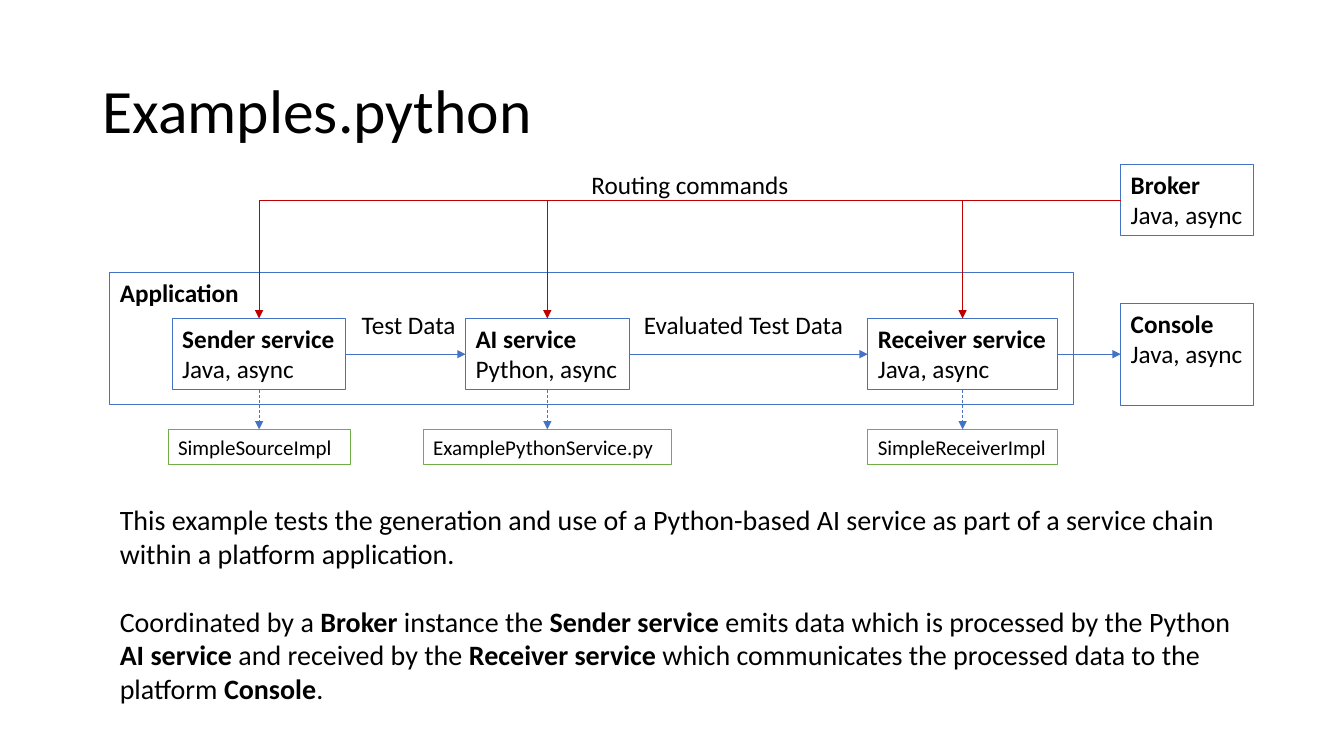
"""Draw the service chain of the Python example on one slide."""
from lxml.etree import SubElement
from pptx import Presentation
from pptx.dml.color import RGBColor as Rgb
from pptx.enum.dml import MSO_LINE as Dash
from pptx.enum.shapes import MSO_CONNECTOR as Link, MSO_SHAPE as Form
from pptx.enum.text import MSO_ANCHOR as Anchor, PP_ALIGN as Align
from pptx.oxml.ns import qn
from pptx.util import Pt

HUES = {"ink": "000000", "blue": "4472C4", "red": "C00000", "green": "70AD47"}


class Sketch:
    def __init__(self, slide, font="Calibri"):
        self.shapes = slide.shapes
        self.font = font

    def hue(self, name):
        return Rgb.from_string(HUES[name])

    def label(self, shape, lines, size, gap=0):
        frame = shape.text_frame
        frame.word_wrap = True
        frame.vertical_anchor = Anchor.TOP
        frame.margin_right = 0
        frame.text = "\n".join(lines)
        for i, (para, line) in enumerate(zip(frame.paragraphs, lines)):
            para.text = ""
            para.alignment = Align.LEFT
            para.space_before = Pt(gap if i else 0)
            for j, part in enumerate(line.split("*")):
                if part:
                    run = para.add_run()
                    run.text = part
                    font = run.font
                    font.name, font.size = self.font, Pt(size)
                    font.bold = j % 2 == 1
                    font.color.rgb = self.hue("ink")
        return frame

    def text(self, x, y, wide, high, lines, size=18, gap=0):
        box = self.shapes.add_textbox(Pt(x), Pt(y), Pt(wide), Pt(high))
        return self.label(box, lines, size, gap)

    def box(self, x, y, wide, high, lines, hue="blue", size=18):
        box = self.shapes.add_shape(
            Form.RECTANGLE, Pt(x), Pt(y), Pt(wide), Pt(high))
        box.shadow.inherit = False
        box.fill.background()
        box.line.color.rgb = self.hue(hue)
        box.line.width = Pt(0.75)
        return self.label(box, lines, size)

    def arrow(self, x, y, to_x, to_y, hue="blue", dash=False):
        bent = x != to_x and y != to_y
        kind = Link.ELBOW if bent else Link.STRAIGHT
        link = self.shapes.add_connector(kind, Pt(x), Pt(y), Pt(to_x), Pt(to_y))
        link.line.color.rgb = self.hue(hue)
        link.line.width = Pt(0.5)
        if dash:
            link.line.dash_style = Dash.DASH
        props = link._element.spPr
        if bent:
            props.find(qn("a:prstGeom")).set("prst", "bentConnector2")
        SubElement(props.find(qn("a:ln")), qn("a:tailEnd"), type="triangle")
        SubElement(props, qn("a:effectLst"))


deck = Presentation()
deck.slide_width, deck.slide_height = Pt(960), Pt(540)
art = Sketch(deck.slides.add_slide(deck.slide_layouts[6]))

LEFT, SIDE, SIDE_W = 78.5, 800.6, 95
TOP, HIGH, ROUTE, IMPL = 227.5, 51, 143, 306.7
FLOW, BASE = TOP + HIGH / 2, TOP + HIGH

title = art.text(66.2, 28.8, 828, 104.4, ["Examples.python"], 44)
title.vertical_anchor = Anchor.MIDDLE
title.paragraphs[0].line_spacing = 0.9
art.box(LEFT, 194.4, 688.3, 94.3, ["*Application*"])
art.box(SIDE, ROUTE - HIGH / 2, SIDE_W, HIGH, ["*Broker*", "Java, async"])
art.box(SIDE, 216.7, SIDE_W, 72.7, ["*Console*", "Java, async"])

chain = [
    ("Sender", "Java", 123.1, 124, "SimpleSourceImpl", 130),
    ("AI", "Python", 332.6, 116.8, "ExamplePythonService.py", 177.3),
    ("Receiver", "Java", 619.9, 135.4, "SimpleReceiverImpl", 135.4),
]
goals = [item[2] for item in chain[1:]] + [SIDE]
for (name, lang, x, wide, code, span), goal in zip(chain, goals):
    mid = x + wide / 2
    art.box(x, TOP, wide, HIGH, [f"*{name} service*", f"{lang}, async"])
    art.box(mid - span / 2, IMPL, span, 25.2, [code], "green", 15)
    art.arrow(SIDE, ROUTE, mid, TOP, "red")
    art.arrow(x + wide, FLOW, goal, FLOW)
    art.arrow(mid, BASE, mid, IMPL, dash=True)

for x, y, wide, name in [
    (415.4, 117.4, 157, "Routing commands"),
    (251.3, 217.5, 82, "Test Data"),
    (452.9, 217.5, 158.4, "Evaluated Test Data"),
]:
    art.text(x, y, wide, 29, [name])

art.text(LEFT, 355.7, 817, 152.6, [
    "This example tests the generation and use of a Python-based AI service "
    "as part of a service chain within a platform application.",
    "Coordinated by a *Broker* instance the *Sender service* emits data which "
    "is processed by the Python *AI service* and received by the "
    "*Receiver service* which communicates the processed data to the "
    "platform *Console*.",
], 20, 24.4)

deck.save("out.pptx")
